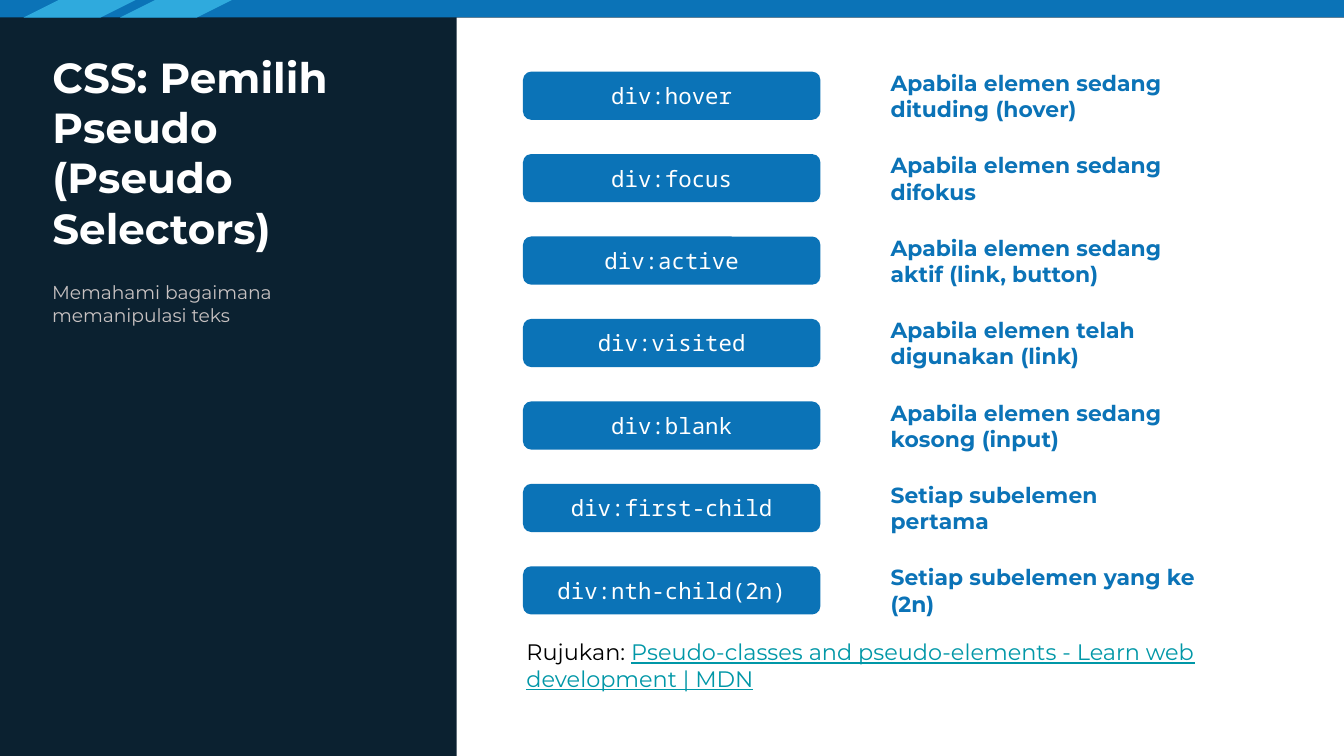
from dataclasses import dataclass

import pptx
import pptx.dml.color
import pptx.enum.shapes
import pptx.enum.text
import pptx.util

Pt = pptx.util.Pt
RGBColor = pptx.dml.color.RGBColor
Preset = pptx.enum.shapes.MSO_SHAPE
Anchor = pptx.enum.text.MSO_ANCHOR
Align = pptx.enum.text.PP_ALIGN

NAVY = RGBColor(0x0B, 0x21, 0x30)
BLUE = RGBColor(0x0B, 0x73, 0xB7)
SKY = RGBColor(0x2F, 0xAA, 0xDD)
WHITE = RGBColor(0xFF, 0xFF, 0xFF)
BLACK = RGBColor(0x00, 0x00, 0x00)
GREY = RGBColor(0xC7, 0xC1, 0xC1)
TEAL = RGBColor(0x00, 0x97, 0xA7)

SANS = "Montserrat"
MONO = "Noto Sans Mono"
INSET = 7.2
BAR_HEIGHT = 9.4
PANEL_LEFT = 244.7
ROW_TOP = 38.4
ROW_PITCH = 44.17
ROW_HEIGHT = 25.8


@dataclass(frozen=True)
class Area:
    left: float
    top: float
    width: float
    height: float

    def lengths(self) -> tuple:
        return Pt(self.left), Pt(self.top), Pt(self.width), Pt(self.height)


@dataclass(frozen=True)
class Style:
    font: str
    size: float
    color: RGBColor
    bold: bool = False
    underline: bool = False


@dataclass(frozen=True)
class Selector:
    code: str
    meaning: str


TITLE = Style(SANS, 22.5, WHITE, bold=True)
SUBTITLE = Style(SANS, 10, GREY)
CODE = Style(MONO, 12, WHITE)
MEANING = Style(SANS, 11.7, BLUE, bold=True)
BODY = Style(SANS, 12, BLACK)
LINK = Style(SANS, 12, TEAL, underline=True)

SELECTORS = [
    Selector("div:hover", "Apabila elemen sedang dituding (hover)"),
    Selector("div:focus", "Apabila elemen sedang difokus"),
    Selector("div:active", "Apabila elemen sedang aktif (link, button)"),
    Selector("div:visited", "Apabila elemen telah digunakan (link)"),
    Selector("div:blank", "Apabila elemen sedang kosong (input)"),
    Selector("div:first-child", "Setiap subelemen pertama"),
    Selector("div:nth-child(2n)", "Setiap subelemen yang ke (2n)"),
]


def format_span(span, style: Style) -> None:
    span.font.name = style.font
    span.font.size = Pt(style.size)
    span.font.bold = style.bold
    span.font.underline = style.underline
    span.font.color.rgb = style.color


def write(box, text: str, style: Style, anchor=Anchor.TOP, align=Align.LEFT) -> None:
    frame = box.text_frame
    frame.text = text
    frame.word_wrap = True
    frame.auto_size = pptx.enum.text.MSO_AUTO_SIZE.NONE
    frame.vertical_anchor = anchor
    frame.margin_left = frame.margin_right = Pt(INSET)
    frame.margin_top = frame.margin_bottom = Pt(INSET)
    para = frame.paragraphs[0]
    para.alignment = align
    format_span(para.runs[0], style)


def add_block(page, preset, area: Area, color: RGBColor):
    block = page.shapes.add_shape(preset, *area.lengths())
    block.shadow.inherit = False
    block.fill.solid()
    block.fill.fore_color.rgb = color
    block.line.fill.background()
    return block


def add_text(page, area: Area, text: str, style: Style, anchor=Anchor.TOP):
    box = page.shapes.add_textbox(*area.lengths())
    write(box, text, style, anchor)
    return box


def add_backdrop(page) -> None:
    page.background.fill.solid()
    page.background.fill.fore_color.rgb = NAVY
    add_block(page, Preset.RECTANGLE, Area(0, 0, 720, BAR_HEIGHT), BLUE)
    for left in (12.7, 64.3):
        stripe = add_block(page, Preset.PARALLELOGRAM, Area(left, 0, 60, BAR_HEIGHT), SKY)
        stripe.adjustments[0] = 2
    panel = Area(PANEL_LEFT, BAR_HEIGHT, 720 - PANEL_LEFT, 405 - BAR_HEIGHT)
    add_block(page, Preset.RECTANGLE, panel, WHITE)


def add_title(page, area: Area, text: str) -> None:
    title = page.shapes.title
    title.left, title.top, title.width, title.height = area.lengths()
    write(title, text, TITLE, Anchor.BOTTOM)


def add_selector(page, row: int, selector: Selector) -> None:
    top = ROW_TOP + row * ROW_PITCH
    button = add_block(page, Preset.ROUNDED_RECTANGLE, Area(280.2, top, 159.3, ROW_HEIGHT), BLUE)
    button.adjustments[0] = 0.17
    write(button, selector.code, CODE, Anchor.MIDDLE, Align.CENTER)
    add_text(page, Area(470, top, 178, ROW_HEIGHT), selector.meaning, MEANING, Anchor.MIDDLE)


def main() -> None:
    deck = pptx.Presentation()
    deck.slide_width, deck.slide_height = Pt(720), Pt(405)
    page = deck.slides.add_slide(deck.slide_layouts[5])
    add_backdrop(page)
    add_title(page, Area(20.9, 38.2, 198.7, 104.4), "CSS: Pemilih Pseudo (Pseudo Selectors)")
    add_text(page, Area(20.9, 143.3, 198.7, 97.2), "Memahami bagaimana memanipulasi teks", SUBTITLE)
    for row, selector in enumerate(SELECTORS):
        add_selector(page, row, selector)
    reference = add_text(page, Area(275, 334.8, 415.4, 43.9), "Rujukan: ", BODY)
    span = reference.text_frame.paragraphs[0].add_run()
    span.text = "Pseudo-classes and pseudo-elements - Learn web development | MDN"
    format_span(span, LINK)
    deck.save("out.pptx")


if __name__ == "__main__":
    main()
